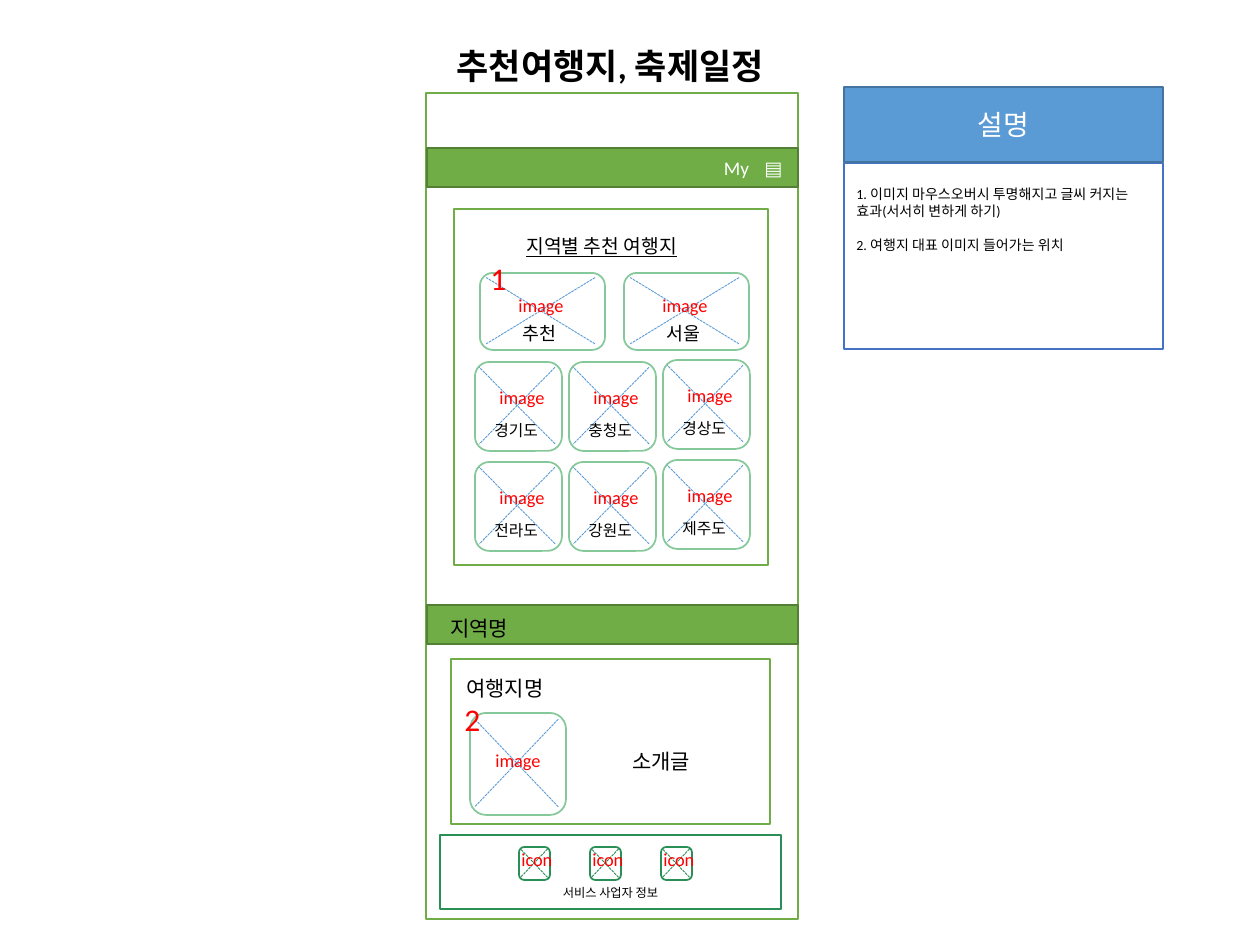
from lxml.etree import SubElement
from pptx import Presentation
from pptx.dml.color import RGBColor
from pptx.enum.dml import MSO_LINE
from pptx.enum.shapes import MSO_CONNECTOR, MSO_SHAPE
from pptx.enum.text import MSO_ANCHOR as ANCHOR, MSO_AUTO_SIZE, PP_ALIGN as ALIGN
from pptx.oxml.ns import qn
from pptx.util import Pt

SCALE = 914400 / 126
FONT = "Calibri"
BLACK, WHITE, RED = "000000", "FFFFFF", "FF0000"
GREEN, DARK_GREEN, MINT, FOOTER_GREEN = "70AD47", "538035", "85C89A", "2A8E57"
BLUE, DARK_BLUE, PANEL_BLUE = "5B9BD5", "43739E", "4472C4"


def px(*values):
    return [round(v * SCALE) for v in values]


def rgb(code):
    return RGBColor.from_string(code)


def write(sp, lines, size, color=BLACK, align=ALIGN.LEFT, anchor=ANCHOR.TOP,
          bold=False, underline=False, gap=0, top=None):
    tf = sp.text_frame
    tf.word_wrap = True
    tf.auto_size = MSO_AUTO_SIZE.NONE
    tf.vertical_anchor = anchor
    if top is not None:
        tf.margin_top = px(top)[0]
    for i, line in enumerate(lines):
        p = tf.add_paragraph() if i else tf.paragraphs[0]
        p.text = line
        p.alignment = align
        if i:
            p.space_before = Pt(gap)
        p.font.name = FONT
        p.font.size = Pt(size)
        p.font.bold = bold
        p.font.underline = underline
        p.font.color.rgb = rgb(color)


def add_box(slide, x, y, w, h, line, fill=WHITE, kind=MSO_SHAPE.RECTANGLE):
    sp = slide.shapes.add_shape(kind, *px(x, y, w, h))
    sp.shadow.inherit = False
    if fill:
        sp.fill.solid()
        sp.fill.fore_color.rgb = rgb(fill)
    else:
        sp.fill.background()
    sp.line.color.rgb = rgb(line)
    sp.line.width = Pt(1)
    return sp


def add_label(slide, x, y, w, h, text, size, color=BLACK, **style):
    write(slide.shapes.add_textbox(*px(x, y, w, h)), [text], size, color, **style)


def add_dashed_line(slide, x1, y1, x2, y2, color):
    s = slide.shapes.add_connector(MSO_CONNECTOR.STRAIGHT, *px(x1, y1, x2, y2))
    s.line.color.rgb = rgb(color)
    s.line.width = Pt(0.5)
    s.line.dash_style = MSO_LINE.SQUARE_DOT
    SubElement(s._element.spPr, qn("a:effectLst"))


def add_tile(slide, x, y, w, h, line=MINT, cross=BLUE):
    add_box(slide, x, y, w, h, line, kind=MSO_SHAPE.ROUNDED_RECTANGLE)
    left, right = x + 0.05 * w, x + 0.92 * w
    top, bottom = y + 0.06 * h, y + 0.92 * h
    add_dashed_line(slide, right, bottom, left, top, cross)
    add_dashed_line(slide, right, top, left, bottom, cross)


def add_title(slide, text):
    sp = slide.shapes.title
    sp.left, sp.top, sp.width, sp.height = px(444, 38, 388, 55)
    write(sp, [text], 20, bold=True)


def add_description(slide):
    sp = add_box(slide, 844, 163, 319, 186, PANEL_BLUE)
    notes = ["1. 이미지 마우스오버시 투명해지고 글씨 커지는 효과(서서히 변하게 하기)",
             "2. 여행지 대표 이미지 들어가는 위치"]
    write(sp, notes, 8, gap=9.6, top=23)
    sp = add_box(slide, 844, 87, 319, 75, DARK_BLUE, BLUE)
    write(sp, ["설명"], 16, WHITE, ALIGN.CENTER, ANCHOR.MIDDLE)


def add_menu_bar(slide):
    add_box(slide, 427, 148, 371, 39, DARK_GREEN, GREEN)
    for x, w, text in ((707, 59, "My"), (752, 40, "▤")):
        sp = add_box(slide, x, 151, w, 33, GREEN, None)
        write(sp, [text], 11, WHITE, ALIGN.CENTER, ANCHOR.MIDDLE)


def add_regions(slide):
    add_box(slide, 454, 209, 314, 356, GREEN)
    add_label(slide, 514, 228, 190, 36, "지역별 추천 여행지", 11, underline=True)
    for i, name in enumerate(("추천", "서울")):
        x, y = 480 + 144 * i, 273
        add_tile(slide, x, y, 125, 77)
        add_label(slide, x + 26, y + 15, 164, 33, "image", 10.5, RED)
        add_label(slide, x + 30, y + 43, 164, 35, name, 10.5)
    provinces = ("경기도", "충청도", "경상도", "전라도", "강원도", "제주도")
    for i, name in enumerate(provinces):
        row, col = divmod(i, 3)
        x = 475 + 94 * col
        y = 362 + 100 * row - (2 if col == 2 else 0)
        add_tile(slide, x, y, 87, 89)
        add_label(slide, x + 12, y + 18, 115, 39, "image", 10.5, RED)
        add_label(slide, x + 7, y + 53, 74, 31, name, 9)
    add_label(slide, 478, 253, 42, 50, "1", 18, RED)


def add_place(slide):
    add_box(slide, 427, 605, 371, 39, DARK_GREEN, GREEN)
    add_label(slide, 438, 609, 90, 38, "지역명", 12)
    add_box(slide, 451, 659, 319, 165, GREEN)
    add_label(slide, 454, 669, 111, 38, "여행지명", 12)
    add_label(slide, 620, 742, 90, 38, "소개글", 12)
    add_tile(slide, 470, 713, 96, 102)
    add_label(slide, 483, 743, 126, 44, "image", 10.5, RED)
    add_label(slide, 452, 694, 42, 50, "2", 18, RED)


def add_footer(slide):
    sp = add_box(slide, 440, 835, 341, 74, FOOTER_GREEN)
    write(sp, ["서비스 사업자 정보"], 7, align=ALIGN.CENTER, top=50)
    for i in range(3):
        x, y = 519 + 71 * i, 847
        add_tile(slide, x, y, 31, 33, FOOTER_GREEN, FOOTER_GREEN)
        add_label(slide, x - 10, y - 5, 62, 38, "icon", 10.5, RED)


def main():
    prs = Presentation()
    prs.slide_width, prs.slide_height = px(1260, 945)
    slide = prs.slides.add_slide(prs.slide_layouts[5])
    add_title(slide, "추천여행지, 축제일정")
    add_description(slide)
    add_box(slide, 426, 93, 372, 826, GREEN)
    add_menu_bar(slide)
    add_regions(slide)
    add_place(slide)
    add_footer(slide)
    prs.save("out.pptx")


if __name__ == "__main__":
    main()
